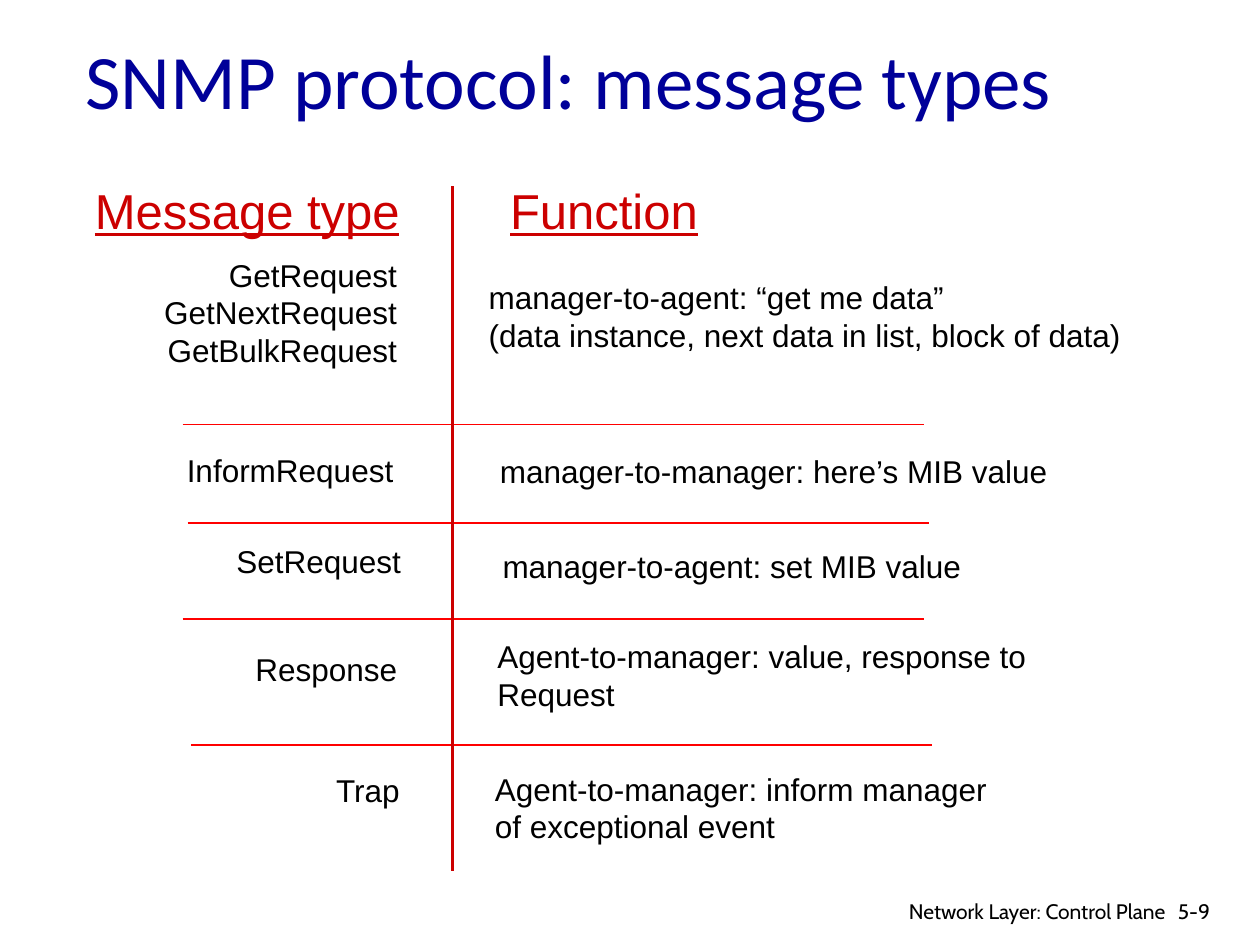
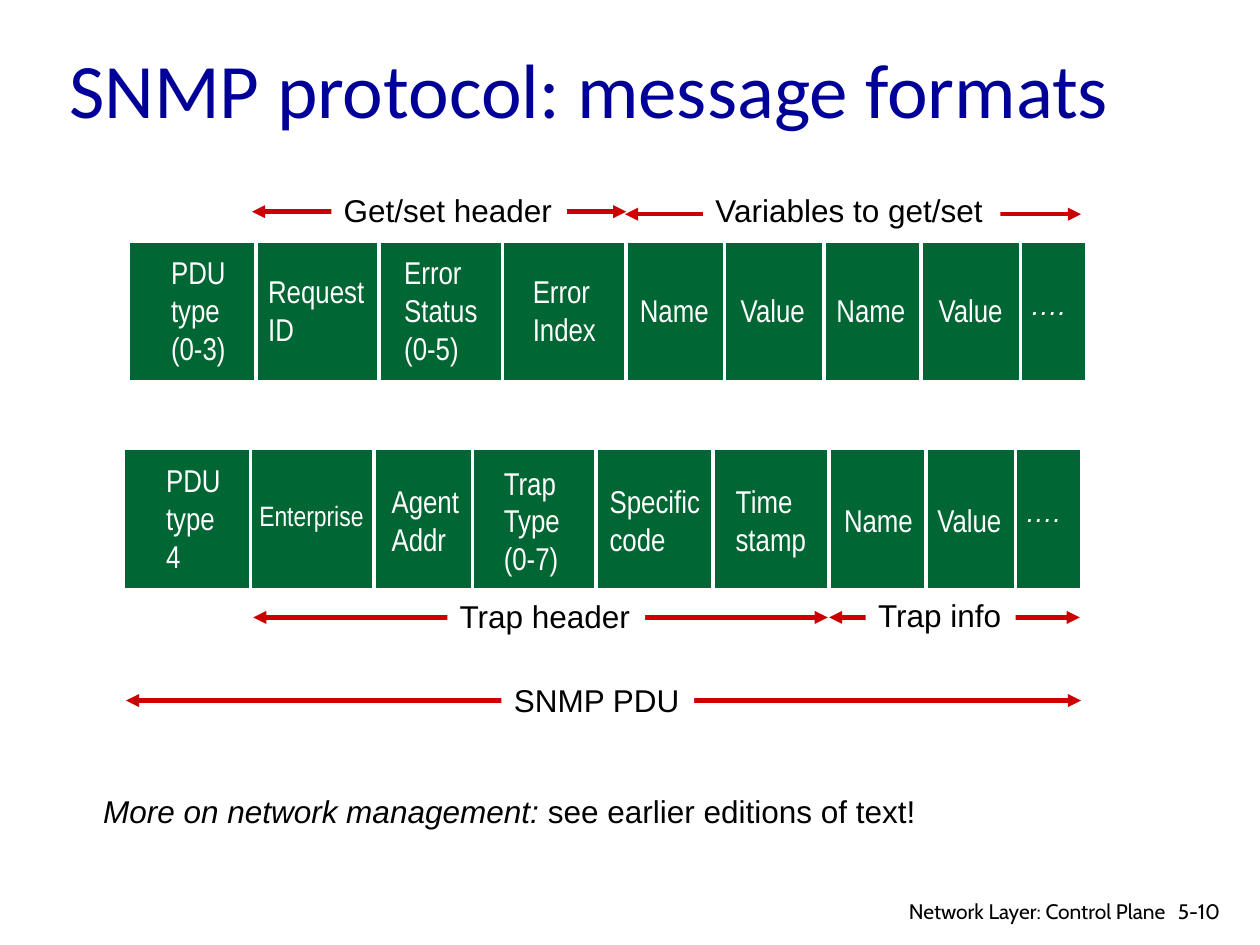
"""Build two slides on SNMP message types and message formats."""
from dataclasses import dataclass

from pptx import Presentation
from pptx import util as u
from pptx.dml.color import RGBColor
from pptx.enum import shapes, text
from pptx.oxml.xmlchemy import OxmlElement

PX = 9144
INSET = 5
BAND_WIDTH, BAND_HEIGHT = 759, 110
DIVIDER_HEIGHT = 112
COLORS = {
    "title": "000099",
    "body": "000000",
    "accent": "CC0000",
    "rule": "FF0000",
    "band": "006633",
    "white": "FFFFFF",
}
LEFT, RIGHT = text.PP_ALIGN.LEFT, text.PP_ALIGN.RIGHT


@dataclass(frozen=True)
class Style:
    """Look of a text."""
    size: int = 18
    font: str = "Arial"
    color: str = "body"
    underline: bool = False
    italic: bool = False
    line_points: int = 0


BODY = Style()
TITLE = Style(44, "Calibri", "title")
HEADING = Style(28, color="accent", underline=True)
FOOTER = Style(12, "Cabin")
FIELD = Style(font="Arial Narrow", color="white")
SMALL_FIELD = Style(16, "Arial Narrow", "white")
DOTS = Style(16, color="white", italic=True, line_points=12)


@dataclass(frozen=True)
class Block:
    """Lines of text at a place; the height follows from the lines."""
    left: int
    top: int
    width: int
    lines: tuple[str, ...]
    style: Style = BODY
    align: text.PP_ALIGN = LEFT
    wrap: bool = False


@dataclass(frozen=True)
class Field:
    """One field of a PDU."""
    left: int
    width: int
    label: str
    style: Style = FIELD
    rise: int = 0


@dataclass(frozen=True)
class Pdu:
    """A band of fields with dividers between them."""
    left: int
    top: int
    text_middle: int
    dividers: tuple[int, ...]
    fields: tuple[Field, ...]


@dataclass(frozen=True)
class Span:
    """A double arrow with a label over it."""
    start: int
    end: int
    y: int
    label: str
    label_left: int
    label_top: int
    label_width: int


MESSAGE_BLOCKS = (
    Block(62, 138, 265, ("Message type",), HEADING, RIGHT),
    Block(395, 138, 171, ("Function",), HEADING),
    Block(55, 198, 270, ("GetRequest", "GetNextRequest", "GetBulkRequest"), align=RIGHT),
    Block(378, 216, 527, ("manager-to-agent: “get me data”",
                          "(data instance, next data in list, block of data)")),
    Block(40, 353, 282, ("InformRequest",), align=RIGHT, wrap=True),
    Block(387, 354, 493, ("manager-to-manager: here’s MIB value",), wrap=True),
    Block(46, 425, 282, ("SetRequest",), align=RIGHT, wrap=True),
    Block(389, 429, 467, ("manager-to-agent: set MIB value",), wrap=True),
    Block(43, 511, 282, ("Response",), align=RIGHT, wrap=True),
    Block(385, 501, 463, ("Agent-to-manager: value, response to", "Request"), wrap=True),
    Block(45, 607, 282, ("Trap",), align=RIGHT, wrap=True),
    Block(383, 606, 524, ("Agent-to-manager: inform manager", "of exceptional event"),
          wrap=True),
)
ROW_RULES = ((145, 337), (149, 415), (145, 491), (152, 591))
ROW_RULE_WIDTH = 588

PDUS = (
    Pdu(103, 192, 246, (203, 301, 399, 497, 575, 654, 731, 810), (
        Field(126, 64, "PDU\ntype\n(0-3)"),
        Field(203, 97, "Request\nID"),
        Field(311, 79, "Error\nStatus\n(0-5)"),
        Field(413, 71, "Error\nIndex"),
        Field(498, 76, "Name"),
        Field(578, 72, "Value"),
        Field(654, 75, "Name"),
        Field(735, 72, "Value"),
        Field(808, 54, "….", DOTS),
    )),
    Pdu(99, 357, 413, (199, 297, 375, 473, 566, 658, 735, 806), (
        Field(122, 64, "PDU\ntype\n4", rise=2),
        Field(196, 104, "Enterprise", SMALL_FIELD, rise=4),
        Field(301, 74, "Agent\nAddr"),
        Field(390, 65, "Trap\nType\n(0-7)"),
        Field(474, 93, "Specific\ncode"),
        Field(574, 77, "Time\nstamp"),
        Field(660, 75, "Name"),
        Field(734, 72, "Value"),
        Field(804, 54, "….", DOTS, rise=2),
    )),
)
SPANS = (
    Span(200, 497, 168, "Get/set header", 263, 147, 187),
    Span(496, 858, 170, "Variables to get/set", 558, 147, 236),
    Span(201, 657, 490, "Trap header", 355, 469, 157),
    Span(658, 857, 490, "Trap info", 687, 468, 119),
    Span(100, 858, 556, "SNMP PDU", 398, 536, 153),
)


def color(name: str) -> RGBColor:
    """Look up a colour."""
    return RGBColor.from_string(COLORS[name])


def text_height(lines: int, style: Style) -> int:
    """Height in px of a box around lines of text."""
    line_points = style.line_points or style.size * 1.2
    return round(lines * line_points * 100 / 72) + 2 * INSET


def write(shape, block: Block, grow: bool = True) -> None:
    """Put the text of a block into a shape."""
    frame = shape.text_frame
    frame.text = "\n".join(block.lines)
    frame.word_wrap = block.wrap
    frame.vertical_anchor = text.MSO_ANCHOR.TOP
    if grow:
        frame.auto_size = text.MSO_AUTO_SIZE.SHAPE_TO_FIT_TEXT
    for paragraph in frame.paragraphs:
        paragraph.alignment = block.align
        font = paragraph.font
        font.name, font.size = block.style.font, u.Pt(block.style.size)
        font.color.rgb = color(block.style.color)
        font.underline = block.style.underline
        font.italic = block.style.italic
        if block.style.line_points:
            paragraph.line_spacing = u.Pt(block.style.line_points)


def add_block(slide, block: Block, height: int = 0):
    """Add a text box that grows unless a height is given."""
    box_height = height or text_height(len(block.lines), block.style)
    shape = slide.shapes.add_textbox(
        block.left * PX, block.top * PX, block.width * PX, box_height * PX)
    write(shape, block, grow=not height)
    return shape


def add_rectangle(slide, left: int, top: int, width: int, height: int, fill: str):
    """Add a filled rectangle with a thin white line."""
    shape = slide.shapes.add_shape(
        shapes.MSO_SHAPE.RECTANGLE, left * PX, top * PX, width * PX, height * PX)
    shape.shadow.inherit = False
    shape.fill.solid()
    shape.fill.fore_color.rgb = color(fill)
    shape.line.color.rgb = color("white")
    shape.line.width = u.Pt(0.75)
    return shape


def add_line(slide, start: tuple[int, int], end: tuple[int, int],
             line_color: str, points: float, arrows: bool = False) -> None:
    """Add a straight line, with arrowheads at both ends if asked."""
    connector = slide.shapes.add_connector(
        shapes.MSO_CONNECTOR.STRAIGHT, *(value * PX for value in start + end))
    connector.line.color.rgb = color(line_color)
    connector.line.width = u.Pt(points)
    if arrows:
        for tag in ("a:headEnd", "a:tailEnd"):
            arrowhead = OxmlElement(tag)
            arrowhead.set("type", "triangle")
            connector.line._get_or_add_ln().append(arrowhead)
    connector._element.spPr.append(OxmlElement("a:effectLst"))


def add_slide(presentation, title: Block, title_height: int, number: str):
    """Add a blank slide with its title and footer."""
    slide = presentation.slides.add_slide(presentation.slide_layouts[6])
    shape = add_block(slide, title, title_height)
    shape.text_frame.vertical_anchor = text.MSO_ANCHOR.MIDDLE
    add_block(slide, Block(925, 708, 60, (number,), FOOTER, wrap=True), 30)
    add_block(slide, Block(697, 708, 238, ("Network Layer: Control Plane",),
                           FOOTER, RIGHT, True), 26)
    return slide


def add_pdu(slide, pdu: Pdu) -> None:
    """Draw a PDU band with its dividers and field names."""
    add_rectangle(slide, pdu.left, pdu.top, BAND_WIDTH, BAND_HEIGHT, "band")
    for x in pdu.dividers:
        add_line(slide, (x, pdu.top), (x, pdu.top + DIVIDER_HEIGHT), "white", 2)
    for field in pdu.fields:
        lines = tuple(field.label.split("\n"))
        top = pdu.text_middle - field.rise - text_height(len(lines), field.style) // 2
        add_block(slide, Block(field.left, top, field.width, lines, field.style))


def add_span(slide, span: Span) -> None:
    """Draw a double arrow and its label."""
    add_line(slide, (span.start, span.y), (span.end, span.y), "accent", 2.5, True)
    block = Block(span.label_left, span.label_top, span.label_width, (span.label,))
    label = add_rectangle(slide, block.left, block.top, block.width,
                          text_height(1, BODY), "white")
    label.line.fill.background()
    write(label, block)


def build_message_types(presentation) -> None:
    """Build the slide that lists message types and functions."""
    title = Block(58, 0, 850, ("SNMP protocol: message types",), TITLE, wrap=True)
    slide = add_slide(presentation, title, 125, "5-9")
    for block in MESSAGE_BLOCKS:
        add_block(slide, block)
    for left, y in ROW_RULES:
        add_line(slide, (left, y), (left + ROW_RULE_WIDTH, y), "rule", 1)
    add_line(slide, (359, 148), (359, 691), "accent", 2)


def build_message_formats(presentation) -> None:
    """Build the slide that shows the PDU layouts."""
    title = Block(45, 24, 850, ("SNMP protocol: message formats",), TITLE, wrap=True)
    slide = add_slide(presentation, title, 91, "5-10")
    for pdu in PDUS:
        add_pdu(slide, pdu)
    for span in SPANS:
        add_span(slide, span)
    note = add_block(slide, Block(72, 624, 671, ("More on network management: ",)))
    paragraph = note.text_frame.paragraphs[0]
    paragraph.runs[0].font.italic = True
    paragraph.add_run().text = "see earlier editions of text!"


def main() -> None:
    """Build and save the presentation."""
    presentation = Presentation()
    presentation.slide_width, presentation.slide_height = 1000 * PX, 750 * PX
    build_message_types(presentation)
    build_message_formats(presentation)
    presentation.save("out.pptx")


if __name__ == "__main__":
    main()
